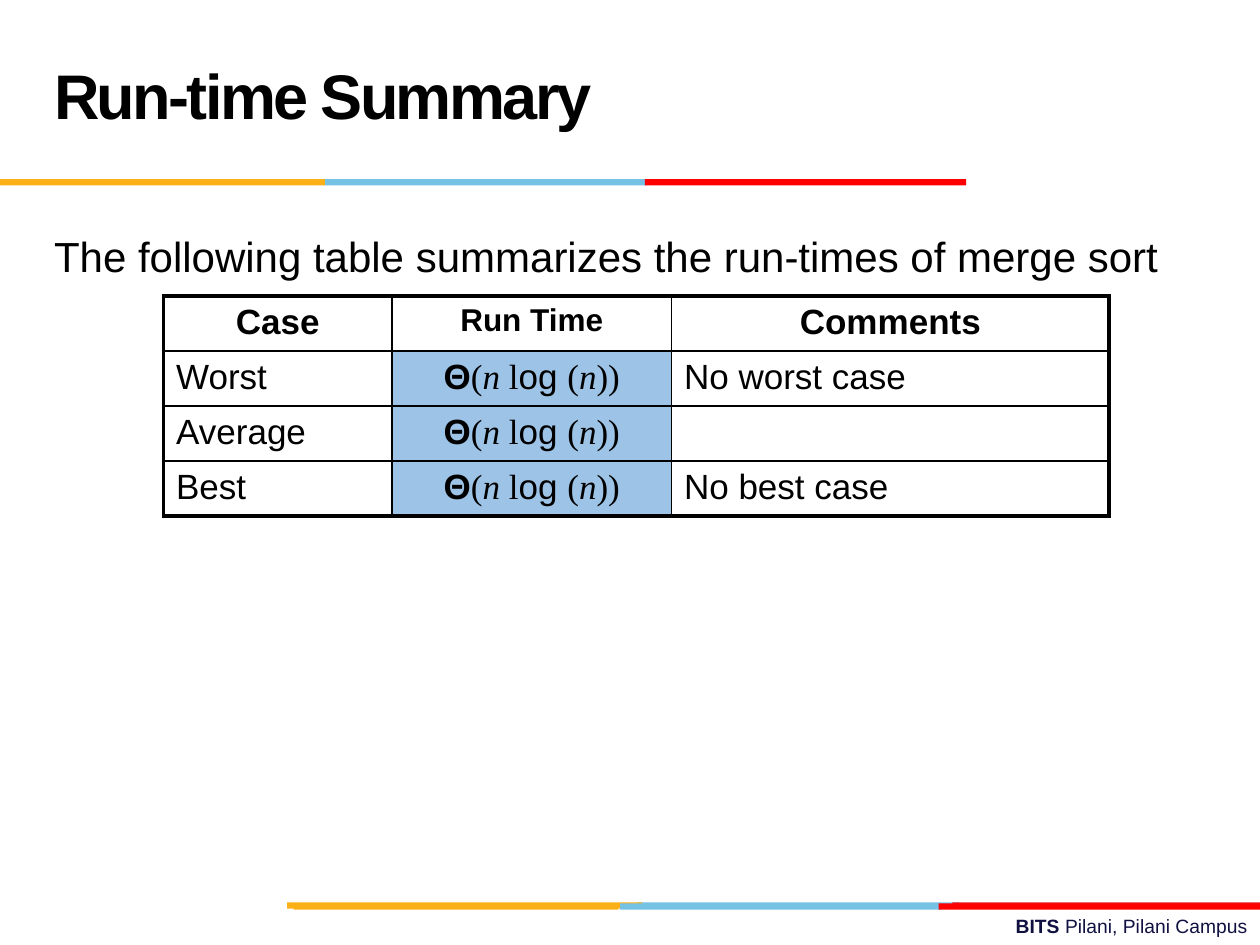
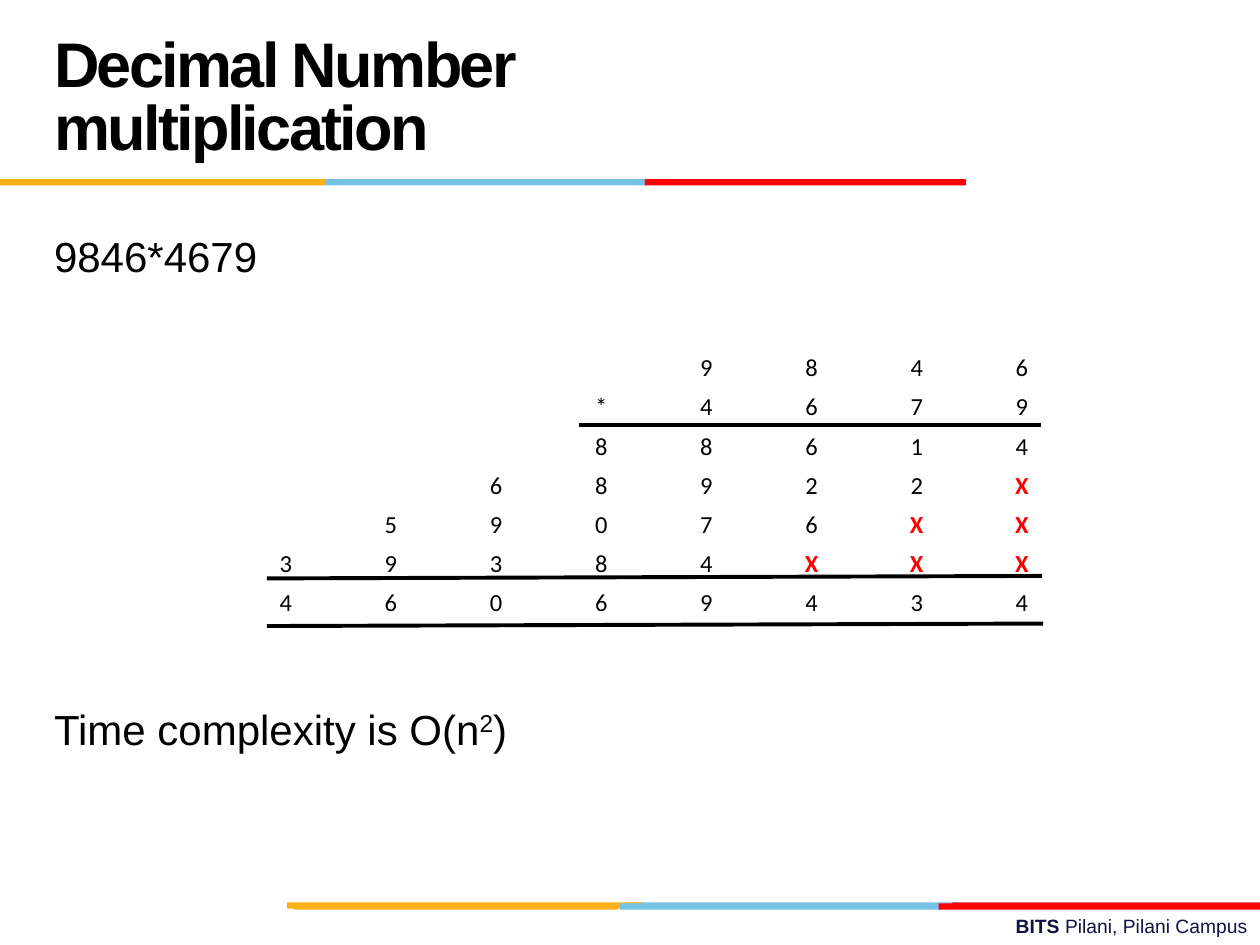
"""Build two algorithm slides: merge sort run-times and long multiplication."""
from lxml import etree
from pptx import Presentation
from pptx.dml.color import RGBColor
from pptx.enum.shapes import MSO_CONNECTOR, MSO_SHAPE
from pptx.enum.text import MSO_ANCHOR, PP_ALIGN
from pptx.oxml.ns import qn
from pptx.util import Cm, Pt

LEFT, CENTER, RIGHT = PP_ALIGN.LEFT, PP_ALIGN.CENTER, PP_ALIGN.RIGHT
TOP, MIDDLE = MSO_ANCHOR.TOP, MSO_ANCHOR.MIDDLE
RECTANGLE, STRAIGHT = MSO_SHAPE.RECTANGLE, MSO_CONNECTOR.STRAIGHT

COLOURS = {
    "black": "000000", "navy": "101141", "yellow": "FCB017", "sky": "76C2E5",
    "crimson": "E31C24", "red": "FF0000", "highlight": "9DC3E6",
}
SANS, SERIF, DIGITS = "Arial", "Times New Roman", "Calibri"
NO_STYLE = "{2D5ABB26-0587-4C30-8999-92F81FD0307C}"
THIN, THICK = 1, 2.25

BAND_HEIGHT = 0.13
BANDS = [
    (18.19, [(12.85, 6.48, "sky"), (19.2, 6.2, "crimson"), (5.79, 7.16, "yellow")]),
    (18.21, [(12.5, 6.48, "sky"), (5.92, 6.55, "yellow"), (18.92, 6.48, "red")]),
    (3.61, [(6.55, 6.48, "sky"), (0, 6.55, "yellow"), (13, 6.48, "red")]),
]
FOOTER = [("BITS ", {"bold": True}), ("Pilani, Pilani Campus", {})]

ROMAN, ITALIC = {"font": SERIF}, {"font": SERIF, "italic": True}
N_LOG_N = [
    ("Θ", {"bold": True}), ("(", ROMAN), ("n", ITALIC), (" l", ROMAN), ("og ", {}),
    ("(", ROMAN), ("n", ITALIC), ("))", ROMAN),
]
SUMMARY_INTRO = "The following table summarizes the run-times of merge sort"
SUMMARY_HEADINGS = [("Case", 20), ("Run Time", 18), ("Comments", 20)]
SUMMARY_CASES = [("Worst", "No worst case"), ("Average", ""), ("Best", "No best case")]
SUMMARY_WIDTHS = [4.6, 5.64, 8.82]

PRODUCT_TITLE = "Decimal Number multiplication"
COMPLEXITY = [("Time complexity is O(n", {}), ("2", {"baseline": 30000}), (")", {})]
PRODUCT_ROWS = ["9846", "*4679", "88614", "68922X", "59076XX", "39384XXX", "46069434", ""]
PRODUCT_COLUMNS = 8
PRODUCT_RULES = [
    (11.68, 8.56, 20.98, 8.56),
    (5.38, 11.66, 21.01, 11.61),
    (5.38, 12.62, 21.03, 12.57),
]


def colour(name):
    return RGBColor.from_string(COLOURS[name])


def write(para, spans, size, ink="black", align=LEFT):
    para.alignment = align
    for text, style in spans:
        span = para.add_run()
        span.text = text
        font = span.font
        font.name = style.get("font", SANS)
        font.size = Pt(size)
        font.bold = style.get("bold", False)
        font.italic = style.get("italic", False)
        font.color.rgb = colour(style.get("ink", ink))
        for key in ("baseline", "spc"):
            if key in style:
                span._r.get_or_add_rPr().set(key, str(style[key]))


def add_box(page, left, top, width, height, anchor=TOP):
    frame = page.shapes.add_textbox(Cm(left), Cm(top), Cm(width), Cm(height)).text_frame
    frame.word_wrap = True
    frame.vertical_anchor = anchor
    return frame


def add_page(deck, title):
    page = deck.slides.add_slide(deck.slide_layouts[6])
    footer = add_box(page, 9.1, 18.31, 16.3, 0.74)
    write(footer.paragraphs[0], FOOTER, 11, "navy", RIGHT)
    for top, segments in BANDS:
        for left, width, fill in segments:
            band = page.shapes.add_shape(RECTANGLE, Cm(left), Cm(top), Cm(width), Cm(BAND_HEIGHT))
            band.shadow.inherit = False
            band.fill.solid()
            band.fill.fore_color.rgb = colour(fill)
            band.line.fill.background()
    para = add_box(page, 0.84, 0.43, 17.5, 3.18, MIDDLE).paragraphs[0]
    para.line_spacing = Pt(36)
    write(para, [(title, {"bold": True, "spc": -150})], 36)
    return page


def add_body(page, *lines, gap=0):
    frame = add_box(page, 0.84, 4.53, 22.86, 12.57)
    for index, spans in enumerate(lines):
        para = frame.add_paragraph() if index else frame.paragraphs[0]
        if index:
            para.space_before = Pt(gap)
        write(para, spans, 24)


def add_grid(page, left, top, widths, row_height, rows):
    frame = page.shapes.add_table(rows, len(widths), Cm(left), Cm(top),
                                  Cm(sum(widths)), Cm(row_height * rows))
    table = frame.table
    table.first_row = table.horz_banding = False
    table._tbl.tblPr.find(qn("a:tableStyleId")).text = NO_STYLE
    for column, width in zip(table.columns, widths):
        column.width = Cm(width)
    for row in table.rows:
        row.height = Cm(row_height)
    return table


def set_margins(cell, side, end):
    cell.margin_left = cell.margin_right = Cm(side)
    cell.margin_top = cell.margin_bottom = Cm(end)


def set_borders(cell, **widths):
    properties = cell._tc.get_or_add_tcPr()
    for side in "LRTB":
        line = etree.SubElement(properties, qn(f"a:ln{side}"), w=str(Pt(widths[side])))
        fill = etree.SubElement(line, qn("a:solidFill"))
        etree.SubElement(fill, qn("a:srgbClr"), val=COLOURS["black"])


def set_empty_size(para, size):
    para._p.get_or_add_endParaRPr().set("sz", str(size * 100))


def add_summary_table(page):
    rows = [[([(text, {"bold": True})], size, CENTER) for text, size in SUMMARY_HEADINGS]]
    for case, comment in SUMMARY_CASES:
        rows.append([([(case, {})], 20, LEFT), (N_LOG_N, 20, CENTER),
                     ([(comment, {})] if comment else [], 20, LEFT)])
    table = add_grid(page, 3.3, 5.97, SUMMARY_WIDTHS, 1.1, len(rows))
    last_row, last_column = len(rows) - 1, len(SUMMARY_WIDTHS) - 1
    for r, row in enumerate(rows):
        for c, (spans, size, align) in enumerate(row):
            cell = table.cell(r, c)
            set_margins(cell, 0.25, 0.13)
            set_borders(cell, L=THIN if c else THICK, T=THIN if r else THICK,
                        R=THICK if c == last_column else THIN,
                        B=THICK if r == last_row else THIN)
            if r and c == 1:
                cell.fill.solid()
                cell.fill.fore_color.rgb = colour("highlight")
            else:
                cell.fill.background()
            para = cell.text_frame.paragraphs[0]
            write(para, spans, size, align=align)
            if not spans:
                set_empty_size(para, size)


def add_product_table(page):
    table = add_grid(page, 4.7, 7.03, [2.12] * PRODUCT_COLUMNS, 0.79, len(PRODUCT_ROWS))
    for r, symbols in enumerate(PRODUCT_ROWS):
        for c, symbol in enumerate(symbols.rjust(PRODUCT_COLUMNS)):
            cell = table.cell(r, c)
            set_margins(cell, 0.18, 0.09)
            cell.vertical_anchor = MIDDLE
            cell.fill.background()
            para = cell.text_frame.paragraphs[0]
            if symbol == " ":
                set_empty_size(para, 14)
                continue
            shifted = symbol == "X"
            style = {"font": DIGITS, "bold": shifted, "ink": "red" if shifted else "black"}
            write(para, [(symbol, style)], 14, align=CENTER)


def add_rule(page, *ends):
    rule = page.shapes.add_connector(STRAIGHT, *(Cm(end) for end in ends))
    rule.line.color.rgb = colour("black")
    rule.line.width = Pt(2.25)
    etree.SubElement(rule._element.spPr, qn("a:effectLst"))


def main():
    deck = Presentation()
    deck.slide_width, deck.slide_height = Cm(25.4), Cm(19.05)

    summary = add_page(deck, "Run-time Summary")
    add_body(summary, [(SUMMARY_INTRO, {})])
    add_summary_table(summary)

    product = add_page(deck, PRODUCT_TITLE)
    add_body(product, [("9846*4679", {})], COMPLEXITY, gap=241)
    add_product_table(product)
    for ends in PRODUCT_RULES:
        add_rule(product, *ends)

    deck.save("out.pptx")


if __name__ == "__main__":
    main()
